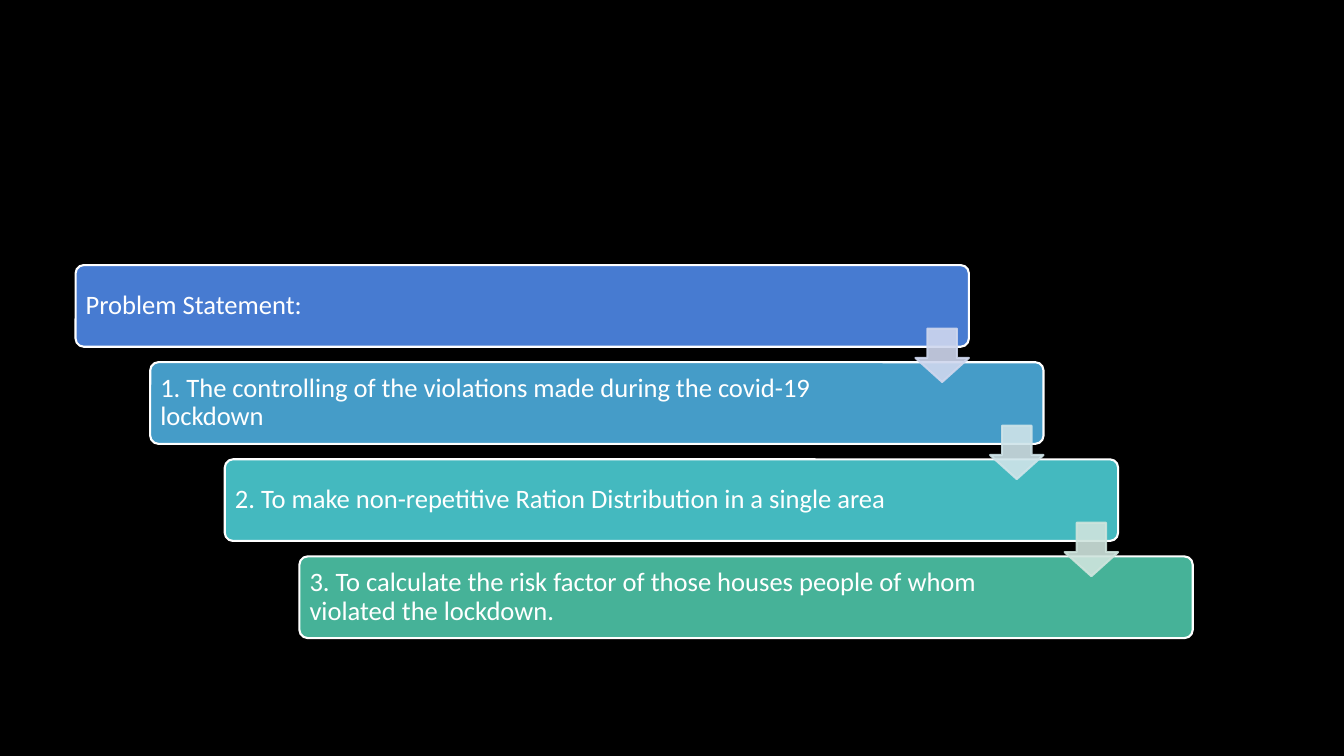
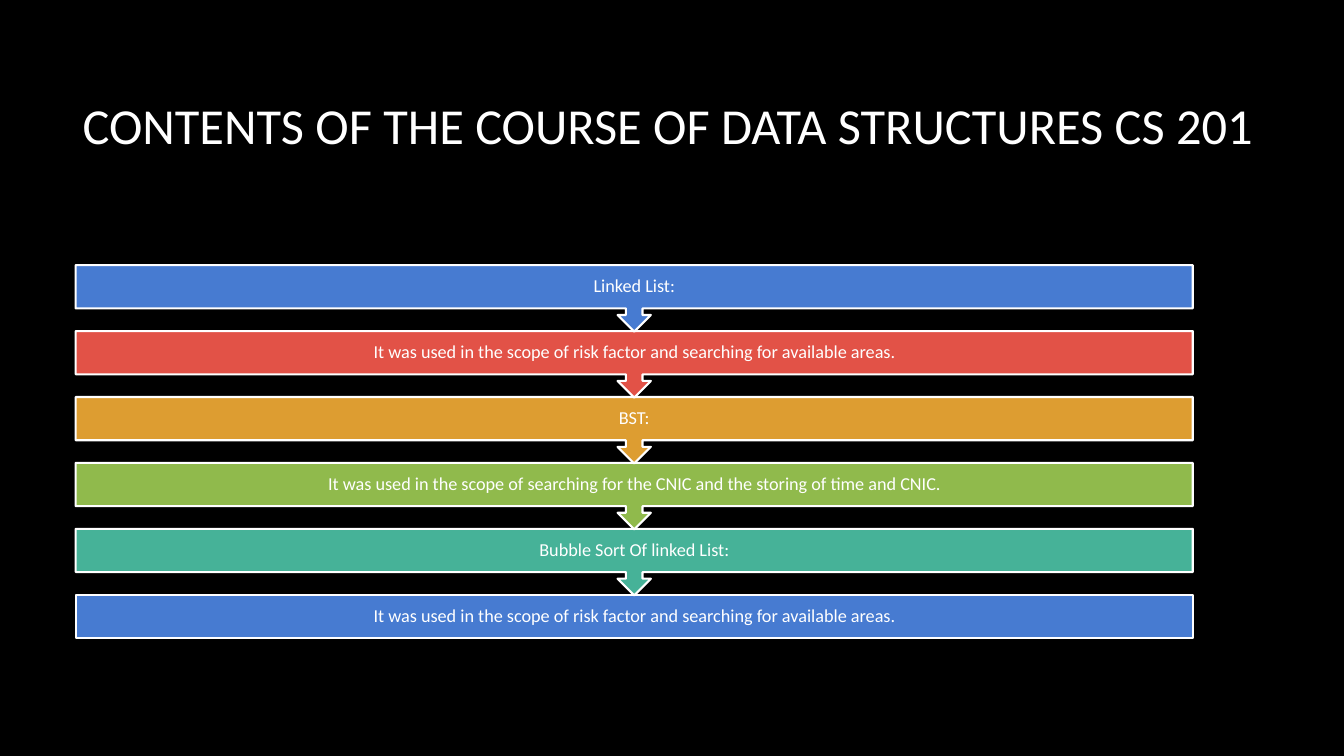
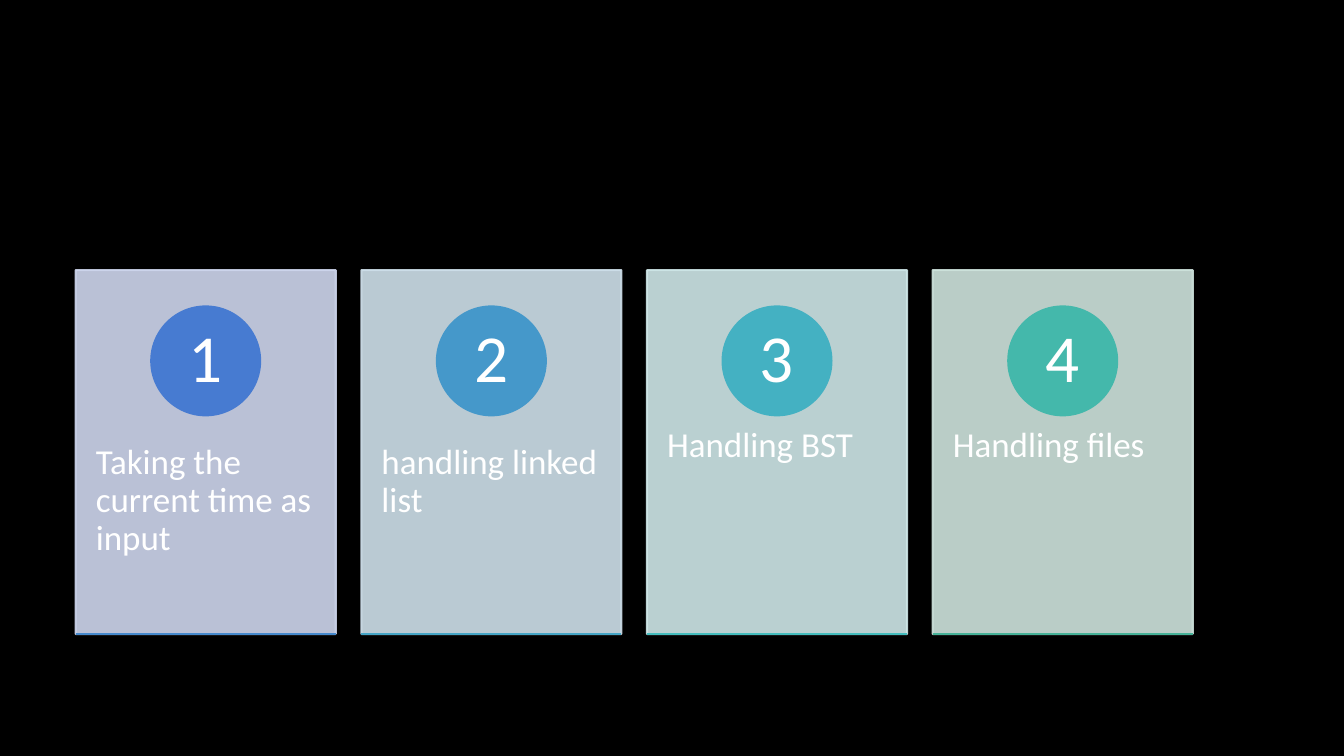
from pptx import Presentation
from pptx.util import Inches, Pt
from pptx.dml.color import RGBColor
from pptx.enum.shapes import MSO_SHAPE, MSO_CONNECTOR
from pptx.enum.text import MSO_ANCHOR, PP_ALIGN
from pptx.oxml.ns import qn
from lxml.etree import SubElement

BLACK = RGBColor(0, 0, 0)
WHITE = RGBColor(255, 255, 255)
BLUE = RGBColor(0x47, 0x7B, 0xD1)
SKY = RGBColor(0x45, 0x9C, 0xC8)
TEAL = RGBColor(0x44, 0xB9, 0xBF)
GREEN = RGBColor(0x46, 0xB2, 0x98)
RED = RGBColor(0xE2, 0x52, 0x47)
GOLD = RGBColor(0xDD, 0x9D, 0x31)
LIME = RGBColor(0x90, 0xBA, 0x4C)
AZURE = RGBColor(0x45, 0x98, 0xCA)
AQUA = RGBColor(0x44, 0xB1, 0xC2)
MINT = RGBColor(0x44, 0xB8, 0xAB)
PALE_BLUE = RGBColor(0xCF, 0xD7, 0xEE)
PALE_SKY = RGBColor(0xCF, 0xE0, 0xEB)
PALE_TEAL = RGBColor(0xCF, 0xE7, 0xE8)
PALE_GREEN = RGBColor(0xCF, 0xE4, 0xDD)
PALE_GREY = RGBColor(0xCF, 0xE4, 0xE9)
RULES = [RGBColor(0x46, 0x8A, 0xCD), RGBColor(0x45, 0xA5, 0xC6),
         RGBColor(0x44, 0xBD, 0xBE), GREEN]
FONT = "Calibri"
EDGE = Pt(1.5)
LEFT, TOP, WIDE = 0.75, 2.63, 11.08


def draw(page, kind, box, fill, line=WHITE, clear=False):
    shape = page.shapes.add_shape(kind, *map(Inches, box))
    shape.shadow.inherit = False
    shape.fill.solid()
    shape.fill.fore_color.rgb = fill
    shape.line.color.rgb = line
    shape.line.width = EDGE
    if clear:
        for tone in shape._element.spPr.iter(qn("a:srgbClr")):
            SubElement(tone, qn("a:alpha"), val="90000")
    return shape


def write(page, box, text, size, pads, align=PP_ALIGN.LEFT,
          anchor=MSO_ANCHOR.MIDDLE, space=0.9):
    frame = page.shapes.add_textbox(*map(Inches, box)).text_frame
    frame.word_wrap = True
    frame.vertical_anchor = anchor
    frame.margin_left = frame.margin_right = Inches(pads[0])
    frame.margin_top, frame.margin_bottom = map(Inches, pads[1:])
    para = frame.paragraphs[0]
    para.text = text
    para.alignment = align
    para.line_spacing = space
    para.font.name = FONT
    para.font.size = Pt(size)
    para.font.color.rgb = WHITE


deck = Presentation()
deck.slide_width = Inches(13.33)
deck.slide_height = Inches(7.5)
pages = [deck.slides.add_slide(deck.slide_layouts[6]) for _ in range(3)]
for page in pages:
    page.background.fill.solid()
    page.background.fill.fore_color.rgb = BLACK
goals, course, tasks = pages

steps = [
    ("Problem Statement:", BLUE, 7.92),
    ("1. The controlling of the violations made during the covid-19 lockdown", SKY, 7.54),
    ("2. To make non-repetitive\u00a0Ration Distribution in a single area", TEAL, 7.56),
    ("3. To calculate the risk factor of those houses people of whom violated the lockdown.",
     GREEN, 7.54),
]
bar, tall, arrow = 8.86, 0.81, 0.53
over = (WIDE - bar) / 3
down = 2.89 / 3
for i, (text, tone, span) in enumerate(steps):
    x, y = LEFT + i * over, TOP + i * down
    shape = draw(goals, MSO_SHAPE.ROUNDED_RECTANGLE, (x, y, bar, tall), tone)
    shape.adjustments[0] = 0.1
    write(goals, (x + 0.02, y + 0.02, span, 0.77), text, 19, (0.08, 0.08, 0.08))
for i, tone in enumerate([PALE_BLUE, PALE_GREY, PALE_GREEN]):
    x, y = LEFT + i * over + bar - arrow, TOP + i * down + 0.63
    shape = draw(goals, MSO_SHAPE.DOWN_ARROW, (x, y, arrow, arrow), tone, tone, True)
    shape.adjustments[0] = 0.55
    shape.adjustments[1] = 0.45

write(course, (0.19, 0.44, 12.34, 2.19),
      "CONTENTS OF THE COURSE OF DATA STRUCTURES\u00a0CS 201",
      36, (0.1, 0.05, 0.65), PP_ALIGN.RIGHT, space=1)
topics = [
    ("Linked List:", BLUE),
    ("It was used in the scope of risk factor and searching for available areas.", RED),
    ("BST:", GOLD),
    ("It was used in the scope of searching for the CNIC and the storing of time and CNIC.", LIME),
    ("Bubble Sort Of linked List:", GREEN),
    ("It was used in the scope of risk factor and searching for available\u00a0areas.", BLUE),
]
last = len(topics) - 1
pitch = 3.27 / last
for i, (text, tone) in reversed(list(enumerate(topics))):
    y = TOP + i * pitch
    band = (LEFT, y, WIDE, 0.43)
    if i == last:
        draw(course, MSO_SHAPE.RECTANGLE, band, tone)
    else:
        shape = draw(course, MSO_SHAPE.UP_ARROW_CALLOUT, (LEFT, y, WIDE, 0.66), tone)
        shape.rotation = 180
    write(course, band, text, 13, (0.1, 0.1, 0.1), PP_ALIGN.CENTER)

cards = [
    ("Taking the current time as input", PALE_BLUE, BLUE),
    ("handling\u00a0linked list", PALE_SKY, AZURE),
    ("Handling BST", PALE_TEAL, AQUA),
    ("Handling files", PALE_GREEN, MINT),
]
card, high, disc, head = 2.58, 3.61, 1.08, 2.68
gap = (WIDE - card) / 3
for i, (text, pale, tone) in enumerate(cards):
    x = LEFT + i * gap
    mid = x + card / 2
    foot = head + high
    draw(tasks, MSO_SHAPE.RECTANGLE, (x, head, card, high), pale, pale, True)
    write(tasks, (x, 4.05, card, 2.16), text, 25, (0.2, 0.36, 0.36), anchor=MSO_ANCHOR.TOP)
    draw(tasks, MSO_SHAPE.OVAL, (mid - disc / 2, 3.04, disc, disc), tone, tone)
    write(tasks, (mid - 0.38, 3.2, 0.76, 0.76), str(i + 1), 48,
          (0.08, 0.01, 0.01), PP_ALIGN.CENTER)
    rule = tasks.shapes.add_connector(
        MSO_CONNECTOR.STRAIGHT, *map(Inches, (x, foot, x + card, foot)))
    rule.line.color.rgb = RULES[i]
    rule.line.width = EDGE
    SubElement(rule._element.spPr, qn("a:effectLst"))

deck.save("out.pptx")
